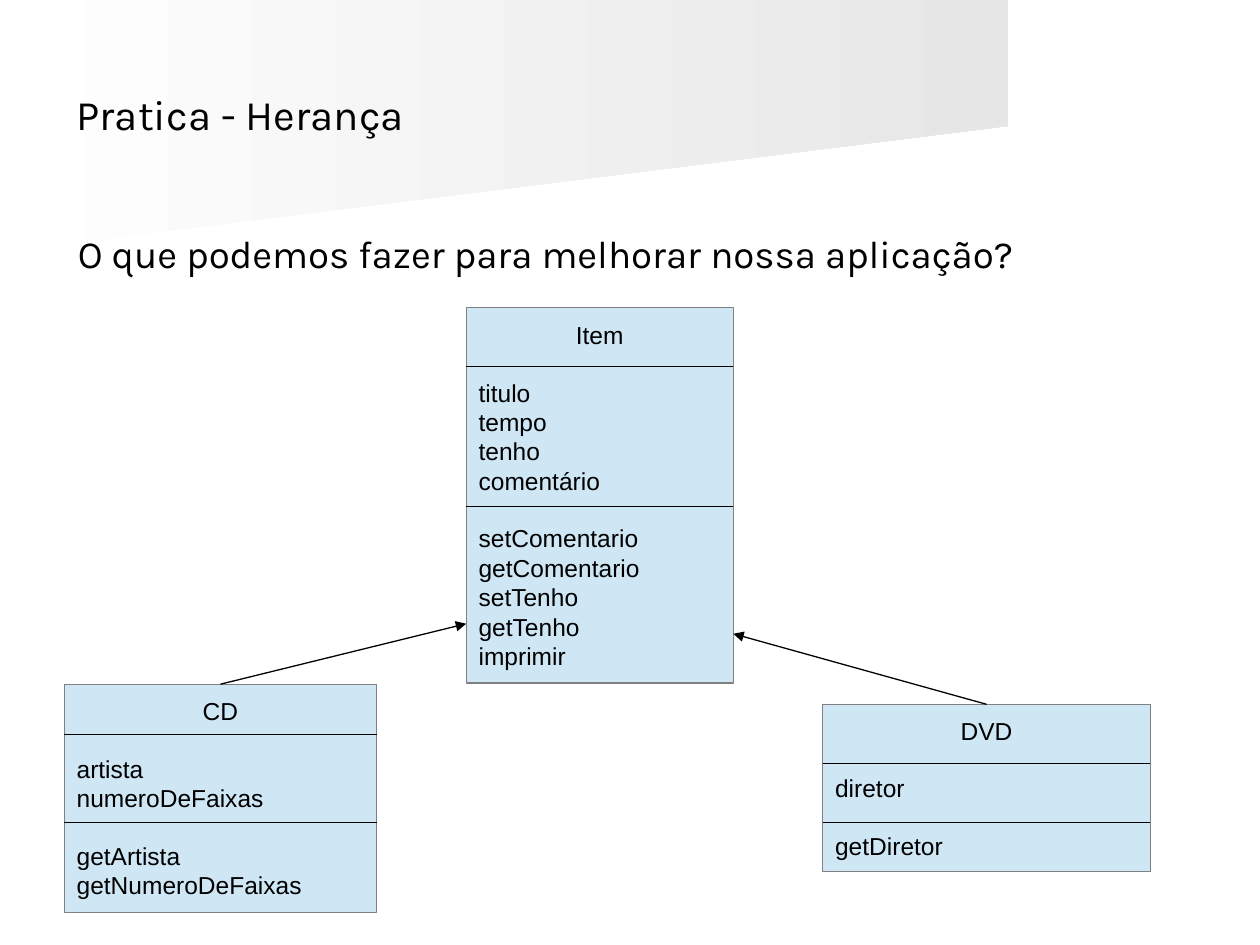
from lxml.etree import SubElement
from pptx import Presentation
from pptx.dml.color import RGBColor
from pptx.enum.shapes import MSO_CONNECTOR, MSO_SHAPE
from pptx.enum.text import MSO_ANCHOR, PP_ALIGN
from pptx.oxml.ns import qn
from pptx.util import Inches, Pt

BLACK = RGBColor(0, 0, 0)
WHITE = RGBColor(255, 255, 255)
PALE = RGBColor(0xF0, 0xF0, 0xF0)
SILVER = RGBColor(0xE6, 0xE6, 0xE6)
GRAY = RGBColor(0x80, 0x80, 0x80)
BLUE = RGBColor(0xCF, 0xE7, 0xF5)


class Deck:
    head = "Karla"
    body = "Arial"
    size = 14
    gap = Pt(16.1)
    rule = Pt(0.75)

    def __init__(self, slide):
        self.slide = slide
        self.shapes = slide.shapes

    def font(self, para, name, size):
        para.font.name = name
        para.font.size = Pt(size)
        para.font.color.rgb = BLACK

    def band(self, points, color):
        form = self.shapes.build_freeform(*points[0], scale=Inches(1))
        form.add_line_segments(points[1:], close=True)
        band = form.convert_to_shape()
        band.shadow.inherit = False
        band.line.fill.background()
        band.fill.gradient()
        band.fill.gradient_angle = 0
        for stop, tone in zip(band.fill.gradient_stops, (WHITE, color)):
            stop.color.rgb = tone

    def text(self, words, top, height, size, anchor, hang=False):
        box = self.shapes.add_textbox(Inches(0.51), Inches(top), Inches(9), Inches(height))
        frame = box.text_frame
        frame.word_wrap = True
        frame.vertical_anchor = anchor
        para = frame.paragraphs[0]
        para.text = words
        if hang:
            props = para._p.get_or_add_pPr()
            props.set("marL", str(Inches(0.38)))
            props.set("indent", str(Inches(-0.37)))
        self.font(para, self.head, size)

    def line(self, start, end, arrow=False):
        link = self.shapes.add_connector(
            MSO_CONNECTOR.STRAIGHT, *(Inches(n) for n in start + end))
        link.line.color.rgb = BLACK
        link.line.width = self.rule
        if arrow:
            SubElement(link.line._get_or_add_ln(), qn("a:tailEnd"), type="triangle")
        SubElement(link._element.spPr, qn("a:effectLst"))
        return link

    def entity(self, left, top, width, height, rules, name, *groups):
        box = self.shapes.add_shape(
            MSO_SHAPE.RECTANGLE, *(Inches(n) for n in (left, top, width, height)))
        box.shadow.inherit = False
        box.fill.solid()
        box.fill.fore_color.rgb = BLUE
        box.line.color.rgb = GRAY
        box.line.width = self.rule
        frame = box.text_frame
        frame.word_wrap = True
        frame.vertical_anchor = MSO_ANCHOR.MIDDLE
        title = frame.paragraphs[0]
        title.text = name
        title.alignment = PP_ALIGN.CENTER
        self.font(title, self.body, self.size)
        for group in groups:
            for place, member in enumerate(group):
                para = frame.add_paragraph()
                para.text = member
                para.alignment = PP_ALIGN.LEFT
                para.space_before = Pt(0) if place else self.gap
                self.font(para, self.body, self.size)
        for y in rules:
            self.line((left, y), (left + width, y))
        return box

    def inherit(self, child, start, end):
        self.line(start, end, arrow=True).begin_connect(child, 0)


def main():
    show = Presentation()
    show.slide_width, show.slide_height = Inches(10), Inches(7.5)
    deck = Deck(show.slides.add_slide(show.slide_layouts[6]))

    deck.band([(7.77, 1.25), (0, 1.77), (0, 0.83), (7.78, 0.83), (7.77, 1.05)], PALE)
    deck.band([(7.91, 1.32), (0, 1.7), (0, 0), (7.91, 0)], SILVER)
    deck.text("Pratica - Herança", 0.28, 1.25, 24, MSO_ANCHOR.MIDDLE)
    deck.text("O que podemos fazer para melhorar nossa aplicação?",
              1.78, 4.91, 22, MSO_ANCHOR.TOP, hang=True)

    disc = deck.entity(0.51, 5.43, 2.48, 1.81, (5.83, 6.53), "CD",
                       ("artista", "numeroDeFaixas"),
                       ("getArtista", "getNumeroDeFaixas"))
    deck.entity(3.7, 2.44, 2.12, 2.98, (2.91, 4.02), "Item",
                ("titulo", "tempo", "tenho", "comentário"),
                ("setComentario", "getComentario", "setTenho", "getTenho", "imprimir"))
    film = deck.entity(6.53, 5.59, 2.6, 1.33, (6.06, 6.53), "DVD",
                       ("diretor",), ("getDiretor",))

    deck.inherit(disc, (1.75, 5.43), (3.7, 4.95))
    deck.inherit(film, (7.83, 5.59), (5.82, 5.03))
    show.save("out.pptx")


if __name__ == "__main__":
    main()
